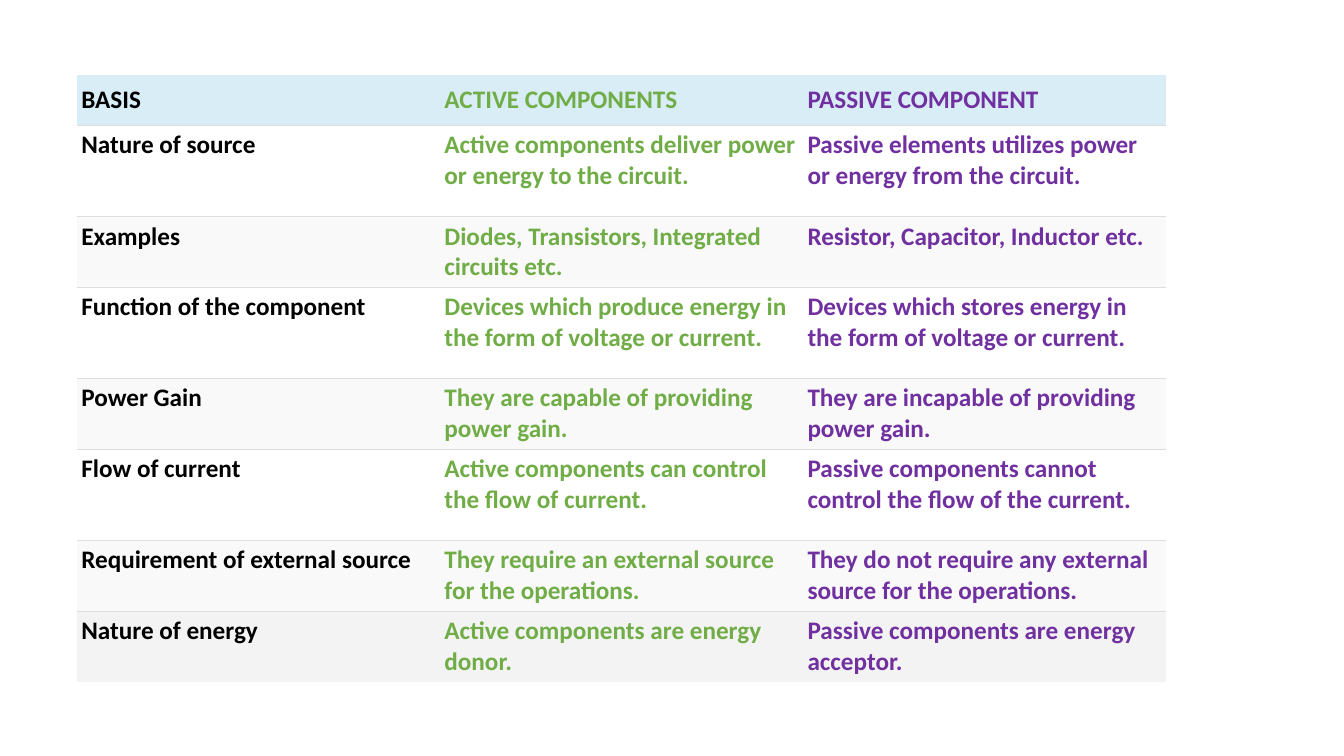
from lxml import etree
from pptx import Presentation
from pptx.dml.color import RGBColor
from pptx.enum import text
from pptx.oxml import ns
from pptx.util import Cm, Pt

BLACK = RGBColor(0x00, 0x00, 0x00)
GREEN = RGBColor(0x70, 0xAD, 0x47)
PURPLE = RGBColor(0x70, 0x30, 0xA0)
BLUE = RGBColor(0xD9, 0xED, 0xF7)
WHITE = RGBColor(0xFF, 0xFF, 0xFF)
PALE = RGBColor(0xF9, 0xF9, 0xF9)
GREY = RGBColor(0xF3, 0xF3, 0xF3)
RULE = RGBColor(0xDD, 0xDD, 0xDD)

INKS = (BLACK, GREEN, PURPLE)
WIDTH = Cm(9.15)
INSET = Cm(0.11)
HEAD, TALL, SHORT = Cm(1.27), Cm(2.3), Cm(1.78)

# Each row: height, fill, texts
ROWS = [
    (HEAD, BLUE, ("BASIS", "ACTIVE COMPONENTS", "PASSIVE COMPONENT")),
    (TALL, WHITE, ("Nature of source",
                   "Active components deliver power or energy to the circuit.",
                   "Passive elements utilizes power or energy from the circuit.")),
    (SHORT, PALE, ("Examples",
                   "Diodes, Transistors, Integrated circuits etc.",
                   "Resistor, Capacitor, Inductor etc.")),
    (TALL, WHITE, ("Function of the component",
                   "Devices which produce energy in the form of voltage or current.",
                   "Devices which stores energy in the form of voltage or current.")),
    (SHORT, PALE, ("Power Gain",
                   "They are capable of providing power gain.",
                   "They are incapable of providing power gain.")),
    (TALL, WHITE, ("Flow of current",
                   "Active components can control the flow of current.",
                   "Passive components cannot control the flow of the current.")),
    (SHORT, PALE, ("Requirement of external source",
                   "They require an external source for the operations.",
                   "They do not require any external source for the operations.")),
    (SHORT, GREY, ("Nature of energy",
                   "Active components are energy donor.",
                   "Passive components are energy acceptor.")),
]


def set_rules(cell, sides):
    """Draw thin rules on the given sides and clear the others."""
    props = cell._tc.get_or_add_tcPr()
    for place, side in enumerate("LRTB"):
        line = etree.Element(ns.qn(f"a:ln{side}"))
        props.insert(place, line)
        if side in sides:
            line.set("w", str(Pt(0.75)))
            fill = etree.SubElement(line, ns.qn("a:solidFill"))
            etree.SubElement(fill, ns.qn("a:srgbClr"), val=str(RULE))
        else:
            etree.SubElement(line, ns.qn("a:noFill"))


def fill_cell(cell, words, ink, shade, sides):
    cell.fill.solid()
    cell.fill.fore_color.rgb = shade
    cell.margin_left = cell.margin_right = INSET
    cell.margin_top = cell.margin_bottom = INSET
    run = cell.text_frame.paragraphs[0].add_run()
    run.text = words
    run.font.name = "Calibri"
    run.font.size = Pt(18)
    run.font.bold = True
    run.font.color.rgb = ink
    set_rules(cell, sides)


def add_grid(slide):
    height = sum(row[0] for row in ROWS)
    frame = slide.shapes.add_table(len(ROWS), len(INKS), Cm(1.94), Cm(1.89),
                                   WIDTH * len(INKS), height)
    table = frame.table
    table.horz_banding = False
    for column in table.columns:
        column.width = WIDTH
    last = len(ROWS) - 1
    for r, (tall, shade, texts) in enumerate(ROWS):
        table.rows[r].height = tall
        sides = ("T" if r > 0 else "") + ("B" if r < last else "")
        for c, (words, ink) in enumerate(zip(texts, INKS)):
            fill_cell(table.cell(r, c), words, ink, shade, sides)
    for c in range(len(INKS)):
        table.cell(0, c).vertical_anchor = text.MSO_ANCHOR.MIDDLE


def main():
    deck = Presentation()
    deck.slide_width, deck.slide_height = Cm(33.87), Cm(19.05)
    slide = deck.slides.add_slide(deck.slide_layouts[6])
    add_grid(slide)
    deck.save("out.pptx")


if __name__ == "__main__":
    main()
